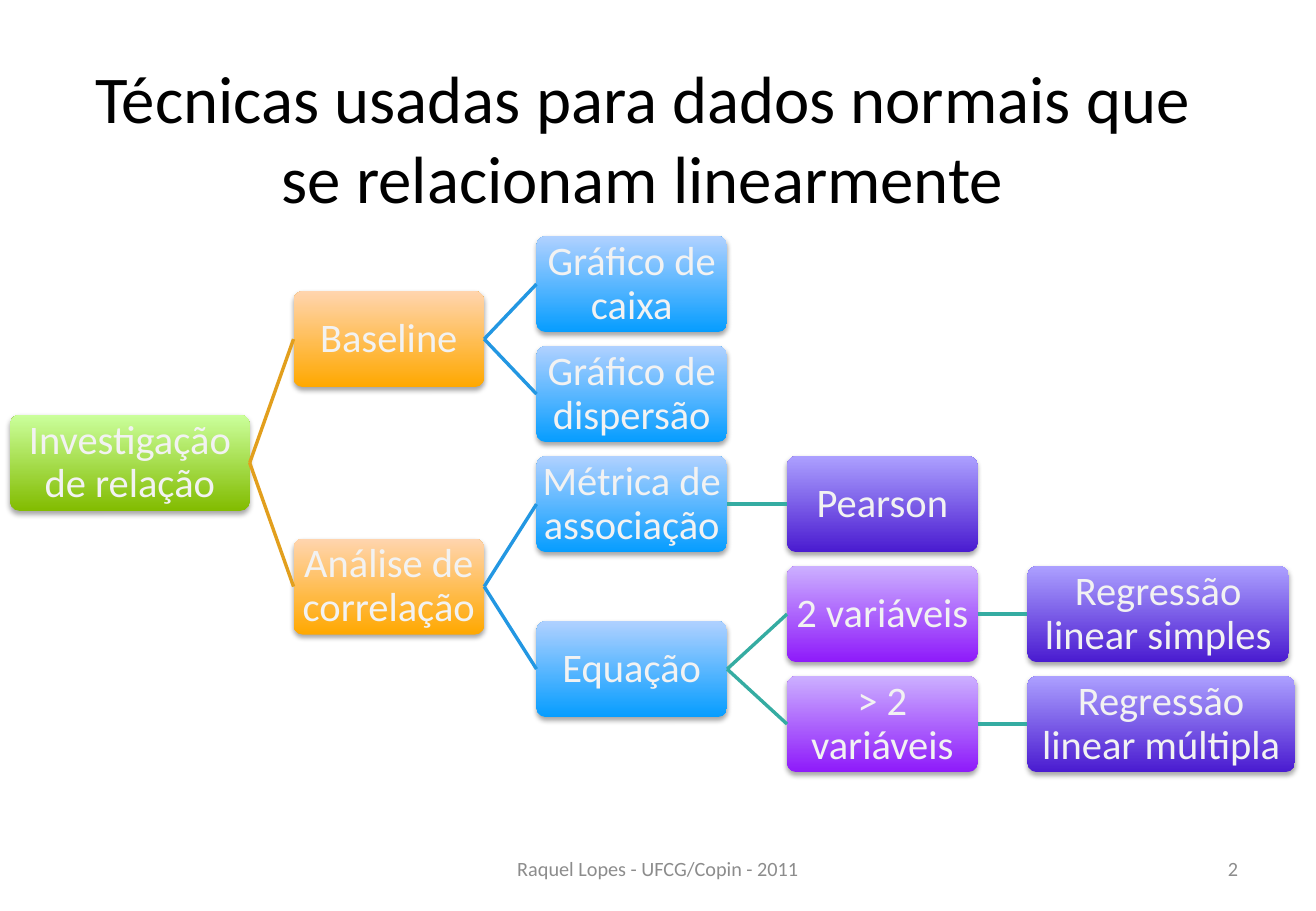
from lxml import etree
from pptx import Presentation
from pptx.dml.color import RGBColor
from pptx.enum import shapes, text
from pptx.oxml import ns
from pptx.util import Pt

FONT = "Calibri"
CENTER, RIGHT = text.PP_ALIGN.CENTER, text.PP_ALIGN.RIGHT

# Tree geometry: one left edge per level, one row per leaf
COLUMN_LEFTS = [6, 174, 318, 466.5, 609]
FIRST_TOP, ROW_PITCH = 139.9, 65.2
BOX_WIDTH, BOX_HEIGHT = 113, 57

# Gradients (bottom, top) and the line colour leading into each level
GREEN, ORANGE = ("82BC00", "CBFF9C"), ("FFA800", "FFD5AF")
BLUE, PURPLE = ("069DFF", "B0D1FF"), ("8E1AFA", "CCB0FF")
INDIGO = ("4A1BD0", "ACA0FF")
LINK_COLORS = [None, "E29F1D", "2397E2", "35ACA2", "35ACA2"]


def node(label, gradient, *children, width=BOX_WIDTH):
    return {"label": label, "gradient": gradient, "children": children, "width": width}


TREE = node(
    "Investigação de relação", GREEN,
    node("Baseline", ORANGE,
         node("Gráfico de caixa", BLUE),
         node("Gráfico de dispersão", BLUE)),
    node("Análise de correlação", ORANGE,
         node("Métrica de associação", BLUE, node("Pearson", INDIGO)),
         node("Equação", BLUE,
              node("2 variáveis", PURPLE,
                   node("Regressão linear simples", INDIGO, width=155)),
              node("> 2 variáveis", PURPLE,
                   node("Regressão linear múltipla", INDIGO, width=158.5)))),
    width=142)


def color(value):
    return RGBColor.from_string(value)


def apply(target, formats):
    for name, value in formats.items():
        setattr(target, name, value)


def write(shape, words, size, tint, align=CENTER, spacing=None, margins=None):
    frame = shape.text_frame
    apply(frame, {"word_wrap": True, "auto_size": text.MSO_AUTO_SIZE.NONE,
                  "vertical_anchor": text.MSO_ANCHOR.MIDDLE, **(margins or {})})
    para = frame.paragraphs[0]
    apply(para, {"alignment": align, "line_spacing": spacing})
    span = para.add_run()
    span.text = words
    apply(span.font, {"name": FONT, "size": Pt(size), "bold": False})
    span.font.color.rgb = color(tint)


def add_shadow(shape):
    shape.shadow.inherit = False
    effects = shape._element.spPr.find(ns.qn("a:effectLst"))
    shadow = etree.SubElement(effects, ns.qn("a:outerShdw"), {
        "blurRad": str(Pt(3.1)), "dist": str(Pt(1.8)),
        "dir": "5400000", "rotWithShape": "0"})
    black = etree.SubElement(shadow, ns.qn("a:srgbClr"), val="000000")
    etree.SubElement(black, ns.qn("a:alpha"), val="35000")


def add_box(page, item, level, row):
    box = page.shapes.add_shape(
        shapes.MSO_SHAPE.ROUNDED_RECTANGLE, Pt(COLUMN_LEFTS[level]),
        Pt(FIRST_TOP + row * ROW_PITCH), Pt(item["width"]), Pt(BOX_HEIGHT))
    box.adjustments[0] = 0.1
    box.fill.gradient()
    box.fill.gradient_angle = 90
    for stop, tint in zip(box.fill.gradient_stops, item["gradient"]):
        stop.color.rgb = color(tint)
    box.line.fill.background()
    add_shadow(box)
    sides = ("left", "top", "right", "bottom")
    write(box, item["label"], 24, "F2F2F2", spacing=0.9,
          margins={f"margin_{side}": Pt(1.3) for side in sides})
    return box


def add_link(page, parent, child, tint):
    link = page.shapes.add_connector(shapes.MSO_CONNECTOR.STRAIGHT, 0, 0, 0, 0)
    link.begin_connect(parent, 3)
    link.end_connect(child, 1)
    link.line.width = Pt(2)
    link.line.color.rgb = color(tint)
    etree.SubElement(link._element.spPr, ns.qn("a:effectLst"))


def add_tree(page, item, leaf_row=0, level=0):
    """Draw a branch; return its box, its row and the next free leaf row."""
    branches = []
    next_row = leaf_row
    for child in item["children"]:
        child_box, child_row, next_row = add_tree(page, child, next_row, level + 1)
        branches.append((child_box, child_row))
    if branches:
        row = sum(child_row for _, child_row in branches) / len(branches)
    else:
        row, next_row = leaf_row, leaf_row + 1
    box = add_box(page, item, level, row)
    for child_box, _ in branches:
        add_link(page, box, child_box, LINK_COLORS[level + 1])
    return box, row, next_row


def add_title(page, words):
    title = page.shapes.title
    apply(title, {"left": Pt(30), "top": Pt(36), "width": Pt(702), "height": Pt(90)})
    write(title, words, 39.6, "000000")


def add_footer(page, words, left, width, align):
    box = page.shapes.add_textbox(Pt(left), Pt(500.4), Pt(width), Pt(28.8))
    write(box, words, 12, "8C8C8C", align)


def main():
    deck = Presentation()
    deck.slide_width, deck.slide_height = Pt(780), Pt(540)
    page = deck.slides.add_slide(deck.slide_layouts[5])

    # Title
    add_title(page, "Técnicas usadas para dados normais que se relacionam linearmente")

    # Technique tree
    add_tree(page, TREE)

    # Footer and page number
    add_footer(page, "Raquel Lopes - UFCG/Copin - 2011", 266.5, 247, CENTER)
    add_footer(page, "2", 559, 182, RIGHT)

    deck.save("out.pptx")


if __name__ == "__main__":
    main()
